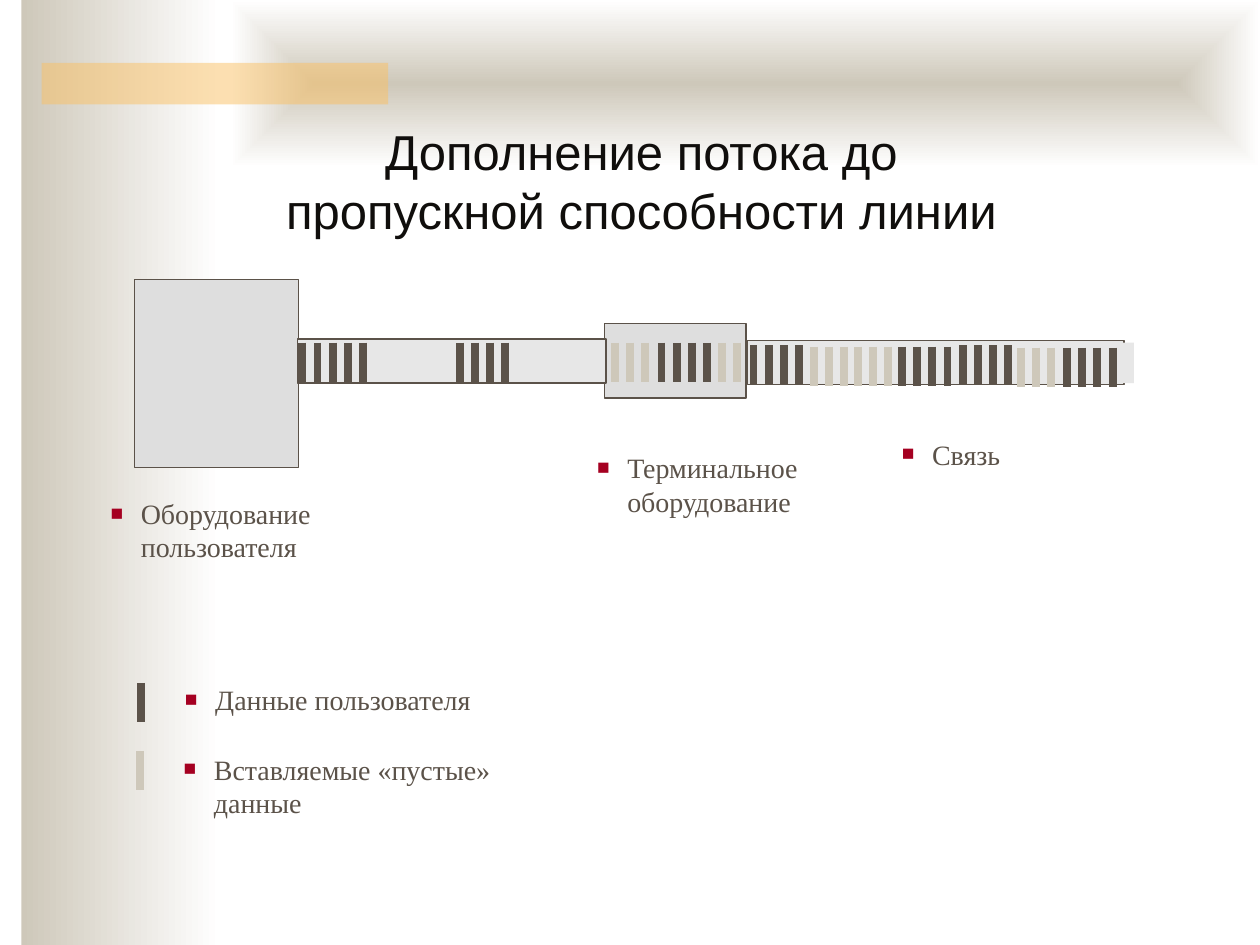
from dataclasses import dataclass

from lxml.etree import SubElement
from pptx import Presentation
from pptx.dml.color import RGBColor as RGB
from pptx.enum.shapes import MSO_CONNECTOR as Connector, MSO_SHAPE as Shape
from pptx.enum.text import MSO_ANCHOR as Anchor, MSO_AUTO_SIZE as AutoSize, PP_ALIGN as Align
from pptx.oxml.ns import qn
from pptx.util import Inches, Pt


@dataclass(frozen=True)
class Theme:
    sand: RGB = RGB.from_string("CEC8BA")
    white: RGB = RGB.from_string("FFFFFF")
    amber: RGB = RGB.from_string("FAC164")
    title: RGB = RGB.from_string("100E0C")
    brown: RGB = RGB.from_string("5B5249")
    device: RGB = RGB.from_string("DEDEDE")
    channel: RGB = RGB.from_string("E7E7E7")
    bullet: str = "A50021"
    title_font: str = "Arial"
    label_font: str = "Times New Roman"
    title_size: int = 28
    label_size: int = 16
    outline: float = 0.75
    packet: float = 4.5


class SlideBuilder:
    def __init__(self, page, theme):
        self.page = page
        self.theme = theme

    def rectangle(self, left, top, width, height, color=None, outlined=False):
        box = self.page.shapes.add_shape(
            Shape.RECTANGLE, Inches(left), Inches(top), Inches(width), Inches(height))
        box.shadow.inherit = False
        if color is not None:
            box.fill.solid()
            box.fill.fore_color.rgb = color
        if outlined:
            box.line.color.rgb = self.theme.brown
            box.line.width = Pt(self.theme.outline)
        else:
            box.line.fill.background()
        return box

    def gradient(self, left, top, width, height, from_center=False):
        box = self.rectangle(left, top, width, height)
        box.fill.gradient()
        box.fill.gradient_angle = 0
        for stop, color in zip(box.fill.gradient_stops, (self.theme.sand, self.theme.white)):
            stop.color.rgb = color
        if from_center:
            grad = box.element.spPr.find(qn("a:gradFill"))
            grad.remove(grad.find(qn("a:lin")))
            spread = SubElement(grad, qn("a:path"), {"path": "shape"})
            SubElement(spread, qn("a:fillToRect"), dict.fromkeys("ltrb", "50000"))

    def translucent(self, left, top, width, height, color, percent):
        box = self.rectangle(left, top, width, height, color)
        tint = box.element.spPr.find(qn("a:solidFill"))[0]
        SubElement(tint, qn("a:alpha"), {"val": str(percent * 1000)})

    def add_run(self, para, text, font, size, color):
        span = para.add_run()
        span.text = text
        span.font.name = font
        span.font.size = Pt(size)
        span.font.color.rgb = color

    def title(self, text, left, top, width, height):
        box = self.page.shapes.title
        # Bring the title in front of the backdrop
        self.page.shapes.element.append(box.element)
        box.left, box.top = Inches(left), Inches(top)
        box.width, box.height = Inches(width), Inches(height)
        frame = box.text_frame
        frame.auto_size = AutoSize.NONE
        frame.vertical_anchor = Anchor.BOTTOM
        para = frame.paragraphs[0]
        para.alignment = Align.CENTER
        self.add_run(para, text, self.theme.title_font, self.theme.title_size, self.theme.title)

    def label(self, text, left, top, width, height):
        box = self.page.shapes.add_textbox(
            Inches(left), Inches(top), Inches(width), Inches(height))
        frame = box.text_frame
        frame.word_wrap = True
        frame.auto_size = AutoSize.SHAPE_TO_FIT_TEXT
        para = frame.paragraphs[0]
        self.add_run(para, text, self.theme.label_font, self.theme.label_size, self.theme.brown)
        props = para._p.get_or_add_pPr()
        indent = Inches(0.24)
        props.set("marL", str(indent))
        props.set("indent", str(-indent))
        tint = SubElement(props, qn("a:buClr"))
        SubElement(tint, qn("a:srgbClr"), {"val": self.theme.bullet})
        SubElement(props, qn("a:buSzPct"), {"val": "75000"})
        SubElement(props, qn("a:buFont"), {"typeface": self.theme.label_font})
        SubElement(props, qn("a:buChar"), {"char": "■"})

    def packets(self, left, top, count, color, pitch=0.12, height=0.31):
        for index in range(count):
            x = Inches(left + index * pitch)
            line = self.page.shapes.add_connector(
                Connector.STRAIGHT, x, Inches(top), x, Inches(top + height))
            line.line.color.rgb = color
            line.line.width = Pt(self.theme.packet)
            SubElement(line.element.spPr, qn("a:effectLst"))


def main():
    deck = Presentation()
    deck.slide_width, deck.slide_height = Inches(10), Inches(7.5)
    theme = Theme()
    slide = SlideBuilder(deck.slides.add_slide(deck.slide_layouts[5]), theme)

    # Backdrop
    slide.gradient(0.17, 0, 1.58, 7.5)
    slide.gradient(1.83, 0, 8.17, 1.33, from_center=True)
    slide.translucent(0.33, 0.5, 2.75, 0.33, theme.amber, 50)

    slide.title("Дополнение потока до пропускной способности линии", 1.89, 0.91, 6.4, 1.04)

    # Devices and channels
    slide.rectangle(1.07, 2.22, 1.3, 1.49, theme.device, outlined=True)
    slide.rectangle(4.8, 2.57, 1.12, 0.59, theme.device, outlined=True)
    slide.rectangle(5.93, 2.7, 2.99, 0.35, theme.channel, outlined=True)
    slide.rectangle(2.36, 2.69, 2.45, 0.35, theme.channel, outlined=True)
    slide.rectangle(6.01, 2.72, 2.99, 0.32, theme.channel)

    # Packet bursts: left, top, count, colour
    data, filler = theme.brown, theme.sand
    bursts = [
        # User channel
        (2.4, 2.72, 5, data), (3.65, 2.72, 4, data),
        # Terminal equipment
        (4.88, 2.72, 3, filler), (5.25, 2.72, 4, data), (5.73, 2.72, 2, filler),
        # Communication line
        (5.98, 2.74, 4, data), (6.46, 2.75, 3, filler), (6.81, 2.75, 3, filler),
        (7.16, 2.75, 4, data), (7.64, 2.74, 4, data), (8.1, 2.76, 3, filler),
        (8.47, 2.76, 4, data),
        # Legend keys
        (1.12, 5.42, 1, data), (1.11, 5.96, 1, filler),
    ]
    for burst in bursts:
        slide.packets(*burst)

    # Captions and legend
    labels = [
        ("Оборудование пользователя", 0.78, 3.89, 1.96, 0.64),
        ("Терминальное оборудование", 4.64, 3.53, 1.96, 0.64),
        ("Связь", 7.06, 3.42, 1.96, 0.37),
        ("Данные пользователя", 1.37, 5.37, 3.53, 0.37),
        ("Вставляемые «пустые» данные", 1.36, 5.92, 2.96, 0.64),
    ]
    for label in labels:
        slide.label(*label)

    deck.save("out.pptx")


if __name__ == "__main__":
    main()
